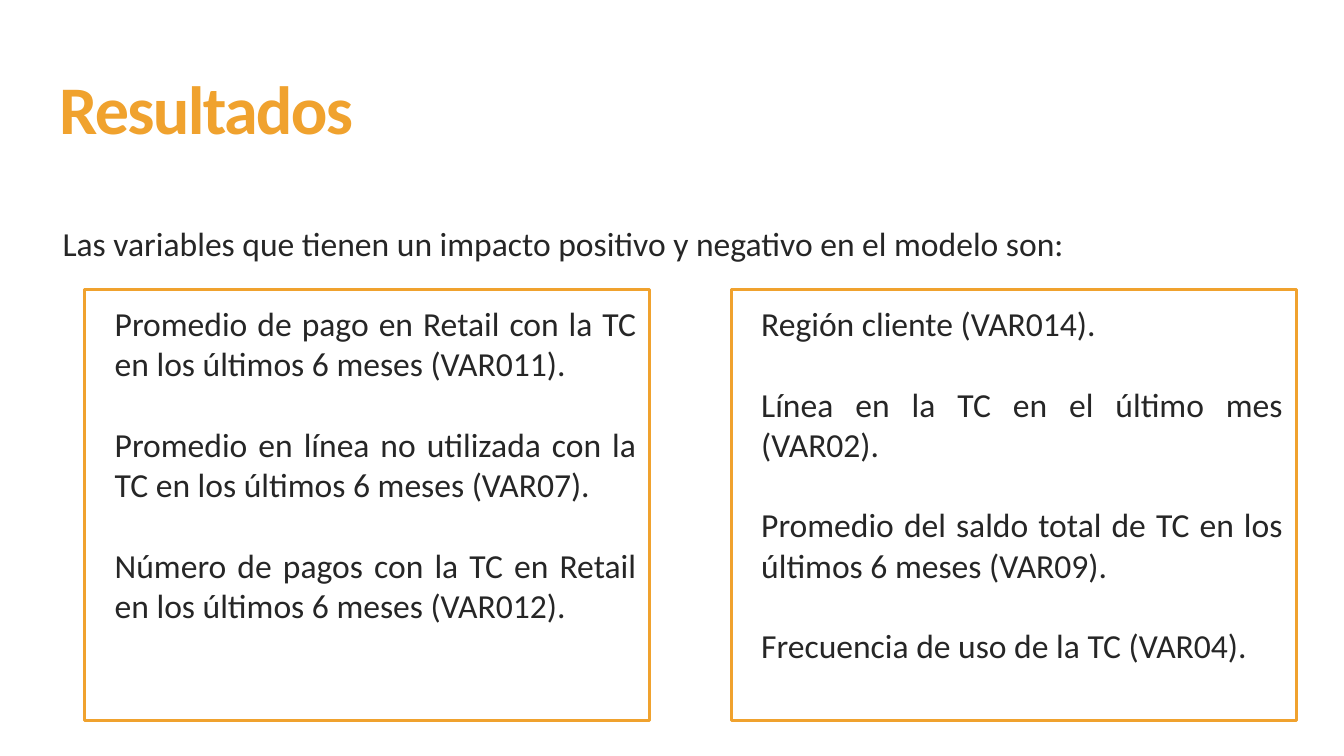
"""Build the results slide with the variables that affect the model."""
from pptx import Presentation
from pptx.dml.color import RGBColor
from pptx.enum.shapes import MSO_SHAPE
from pptx.enum.text import MSO_ANCHOR, MSO_AUTO_SIZE, PP_ALIGN
from pptx.util import Pt
from lxml.etree import SubElement
from pptx.oxml.ns import qn

PX = 4572
ORANGE = "F0A22E"
DARK = "262626"


def color(hex_string):
    return RGBColor.from_string(hex_string)


def fill_text(shape, texts, size, hex_string, alignment, line_spacing, indent, gap=0):
    frame = shape.text_frame
    frame.word_wrap = True
    frame.auto_size = MSO_AUTO_SIZE.NONE
    frame.vertical_anchor = MSO_ANCHOR.TOP
    frame.margin_left = frame.margin_right = 20 * PX
    frame.margin_top = frame.margin_bottom = 20 * PX
    frame.text = "\n".join(texts)
    for index, paragraph in enumerate(frame.paragraphs):
        paragraph.alignment = alignment
        paragraph.line_spacing = line_spacing
        paragraph.space_before = Pt(gap if index else 0)
        properties = paragraph._p.get_or_add_pPr()
        properties.set("marL", str(indent * PX))
        properties.set("indent", "0")
        SubElement(properties, qn("a:buNone"))
        paragraph.font.name = "Calibri"
        paragraph.font.size = Pt(size)
        paragraph.font.color.rgb = color(hex_string)


presentation = Presentation()
presentation.slide_width = 2000 * PX
presentation.slide_height = 1125 * PX
slide = presentation.slides.add_slide(presentation.slide_layouts[1])

title, introduction = slide.placeholders
title.left, title.top = 68 * PX, 98 * PX
title.width, title.height = 1864 * PX, 126 * PX
fill_text(title, ["Resultados"], 36.5, ORANGE, PP_ALIGN.LEFT, 0.85, 0)
title_paragraph = title.text_frame.paragraphs[0]
title_paragraph.font.bold = True
title_paragraph.runs[0]._r.get_or_add_rPr().set("spc", "-90")

introduction.left, introduction.top = 48 * PX, 252 * PX
introduction.width, introduction.height = 1764 * PX, 748 * PX
fill_text(
    introduction,
    ["Las variables que tienen un impacto positivo y negativo en el modelo son:"],
    18, DARK, PP_ALIGN.JUSTIFY, 2.0, 25,
)

variable_boxes = [
    (126, [
        "Promedio de pago en Retail con la TC en los últimos 6 meses (VAR011).",
        "Promedio en línea no utilizada con la TC en los últimos 6 meses (VAR07).",
        "Número de pagos con la TC en Retail en los últimos 6 meses (VAR012).",
    ]),
    (1088, [
        "Región cliente (VAR014).",
        "Línea en la TC en el último mes (VAR02).",
        "Promedio del saldo total de TC en los últimos 6 meses (VAR09).",
        "Frecuencia de uso de la TC (VAR04).",
    ]),
]
for left, variables in variable_boxes:
    box = slide.shapes.add_shape(
        MSO_SHAPE.RECTANGLE, left * PX, 431 * PX, 841 * PX, 641 * PX
    )
    box.shadow.inherit = False
    box.fill.background()
    box.line.color.rgb = color(ORANGE)
    box.line.width = Pt(1.5)
    fill_text(box, variables, 18, DARK, PP_ALIGN.JUSTIFY, 1.0, 25, gap=21.5)

presentation.save("out.pptx")
